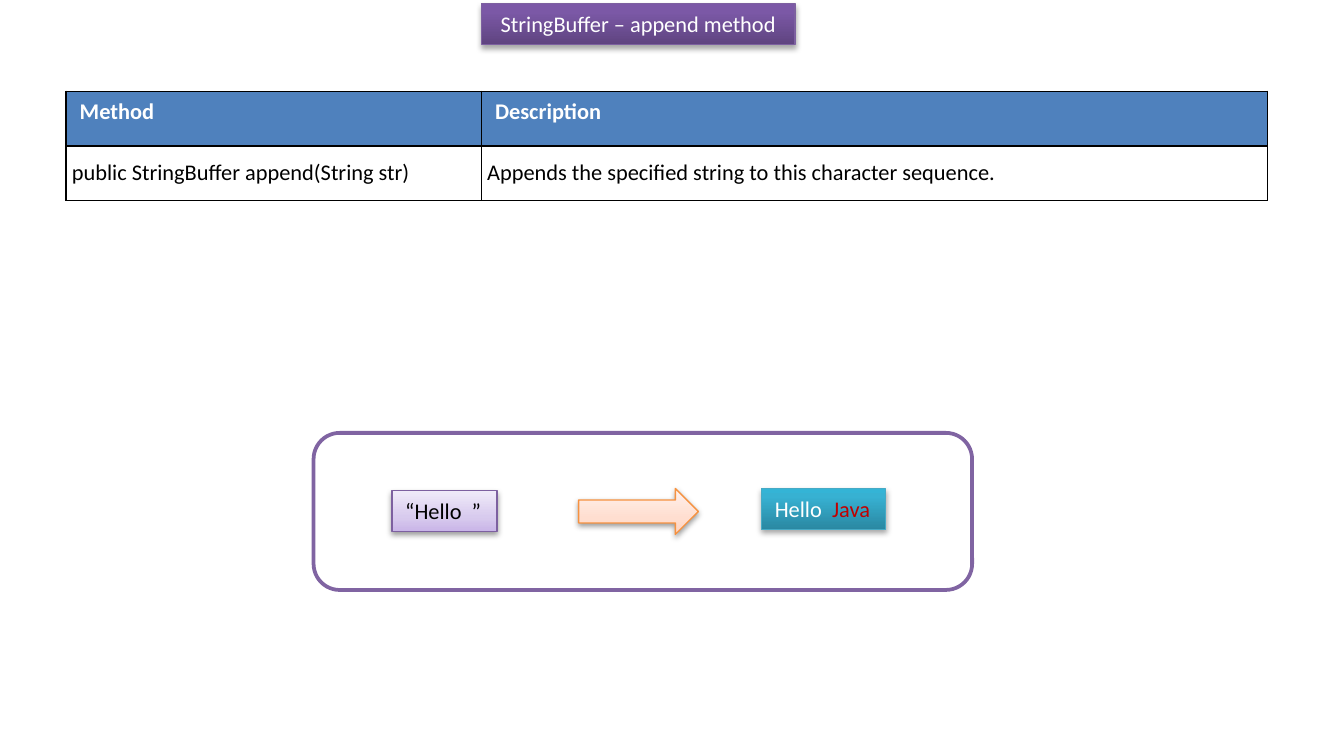
from lxml import etree
from pptx import Presentation
from pptx.dml.color import RGBColor
from pptx.enum.shapes import MSO_SHAPE
from pptx.enum.text import MSO_ANCHOR, MSO_AUTO_SIZE, PP_ALIGN
from pptx.oxml import parse_xml
from pptx.oxml.ns import nsdecls, qn
from pptx.util import Pt

RECT, ROUND = MSO_SHAPE.RECTANGLE, MSO_SHAPE.ROUNDED_RECTANGLE
ARROW = MSO_SHAPE.RIGHT_ARROW
MIDDLE, TOP = MSO_ANCHOR.MIDDLE, MSO_ANCHOR.TOP
LEFT, CENTER = PP_ALIGN.LEFT, PP_ALIGN.CENTER
NO_FIT = MSO_AUTO_SIZE.NONE

WHITE = RGBColor(0xFF, 0xFF, 0xFF)
BLACK = RGBColor(0, 0, 0)
RED = RGBColor(0xC0, 0, 0)
BLUE = RGBColor(0x4F, 0x81, 0xBD)
PURPLE = RGBColor(0x80, 0x64, 0xA2)
VIOLET = RGBColor(0x7D, 0x60, 0xA0)
TEAL = RGBColor(0x46, 0xAA, 0xC5)
ORANGE = RGBColor(0xF6, 0x92, 0x40)

# Gradient stops run from the bottom edge up: (percent, colour)
DEEP = [(0, "5F4480"), (80, "7B58A6"), (100, "7C57A8")]
LILAC = [(0, "C9B5E8"), (35, "D8CBEE"), (100, "F0EAF9")]
AQUA = [(0, "2A88A2"), (80, "37B1D2"), (100, "34B4D6")]
PEACH = [(0, "FFD2BD"), (35, "FFDED0"), (100, "FFF2ED")]
STRONG = (35, 1.8)  # shadow opacity in percent, distance
SOFT = (38, 1.6)

TITLE = "StringBuffer – append method"
ROWS = [
    ("Method", "Description"),
    ("public StringBuffer append(String str)",
     "Appends the specified string to this character sequence."),
]
COLS = (222.5, 421.1)
ROW = 29.2

# kind, place, stops, line, shadow, text runs
STEPS = [
    (RECT, (210, 262.9, 56.2, 21.8), LILAC, VIOLET, SOFT,
     [("“Hello  ”", BLACK)]),
    (RECT, (408, 261.8, 66.5, 21.8), AQUA, TEAL, STRONG,
     [("Hello  ", WHITE), ("Java", RED)]),
    (ARROW, (310, 261.8, 64.1, 24.6), PEACH, ORANGE, SOFT, []),
]


def style(run, color, bold=False):
    font = run.font
    font.name, font.size, font.bold = "Calibri", Pt(12), bold
    font.color.rgb = color


def paint(shape, stops, line, shadow):
    """Give a shape a vertical gradient, a thin line and a soft drop shadow."""
    shape.fill.gradient()
    shape.fill.gradient_angle = 90
    props = shape.element.spPr
    ramp = props.find(qn("a:gradFill")).find(qn("a:gsLst"))
    for old in list(ramp):
        ramp.remove(old)
    for pos, color in stops:
        stop = etree.SubElement(ramp, qn("a:gs"), pos=str(pos * 1000))
        etree.SubElement(stop, qn("a:srgbClr"), val=color)
    shape.line.color.rgb = line
    shape.line.width = Pt(0.75)

    alpha, dist = shadow
    shape.shadow.inherit = False
    props.find(qn("a:effectLst")).append(parse_xml(
        f'<a:outerShdw {nsdecls("a")} blurRad="{Pt(3.1)}" dist="{Pt(dist)}"'
        ' dir="5400000" rotWithShape="0"><a:srgbClr val="000000">'
        f'<a:alpha val="{alpha * 1000}"/></a:srgbClr></a:outerShdw>'))


def border(cell):
    props = cell._tc.get_or_add_tcPr()
    for i, side in enumerate(("lnL", "lnR", "lnT", "lnB")):
        props.insert(i, parse_xml(
            f'<a:{side} {nsdecls("a")} w="{Pt(1)}"><a:solidFill>'
            f'<a:srgbClr val="{BLACK}"/></a:solidFill></a:{side}>'))


def add_title(slide):
    title = slide.shapes.title
    title.left, title.top = Pt(258), Pt(2)
    title.width, title.height = Pt(168), Pt(21.8)
    paint(title, DEEP, VIOLET, STRONG)
    frame = title.text_frame
    frame.text = TITLE
    frame.auto_size, frame.word_wrap = NO_FIT, True
    frame.vertical_anchor = TOP
    frame.paragraphs[0].alignment = CENTER
    style(frame.paragraphs[0].runs[0], WHITE)


def add_methods(slide):
    table = slide.shapes.add_table(
        len(ROWS), len(COLS), Pt(35.5), Pt(49),
        Pt(sum(COLS)), Pt(ROW * len(ROWS))).table
    table.horz_banding = False
    for col, width in zip(table.columns, COLS):
        col.width = Pt(width)
    for r, texts in enumerate(ROWS):
        table.rows[r].height = Pt(ROW)
        head = r == 0
        for c, text in enumerate(texts):
            cell = table.cell(r, c)
            cell.text = text
            style(cell.text_frame.paragraphs[0].runs[0],
                  WHITE if head else BLACK, head)
            cell.fill.solid()
            cell.fill.fore_color.rgb = BLUE if head else WHITE
            if not head:
                cell.vertical_anchor = MIDDLE
                cell.margin_left = cell.margin_right = Pt(3)
                cell.margin_top = cell.margin_bottom = Pt(3)
            border(cell)


def add_flow(slide):
    frame = slide.shapes.add_shape(
        ROUND, Pt(168), Pt(232), Pt(352.8), Pt(84.2))
    frame.shadow.inherit = False
    frame.fill.solid()
    frame.fill.fore_color.rgb = WHITE
    frame.line.color.rgb = PURPLE
    frame.line.width = Pt(2)
    for kind, place, stops, line, shadow, runs in STEPS:
        shape = slide.shapes.add_shape(kind, *map(Pt, place))
        paint(shape, stops, line, shadow)
        text = shape.text_frame
        text.word_wrap = False
        text.vertical_anchor = TOP
        para = text.paragraphs[0]
        para.alignment = LEFT
        for words, color in runs:
            run = para.add_run()
            run.text = words
            style(run, color)


def main():
    deck = Presentation()
    deck.slide_width, deck.slide_height = Pt(720), Pt(396)
    slide = deck.slides.add_slide(deck.slide_layouts.get_by_name("Title Only"))
    add_title(slide)
    add_methods(slide)
    add_flow(slide)
    deck.save("out.pptx")


if __name__ == "__main__":
    main()
